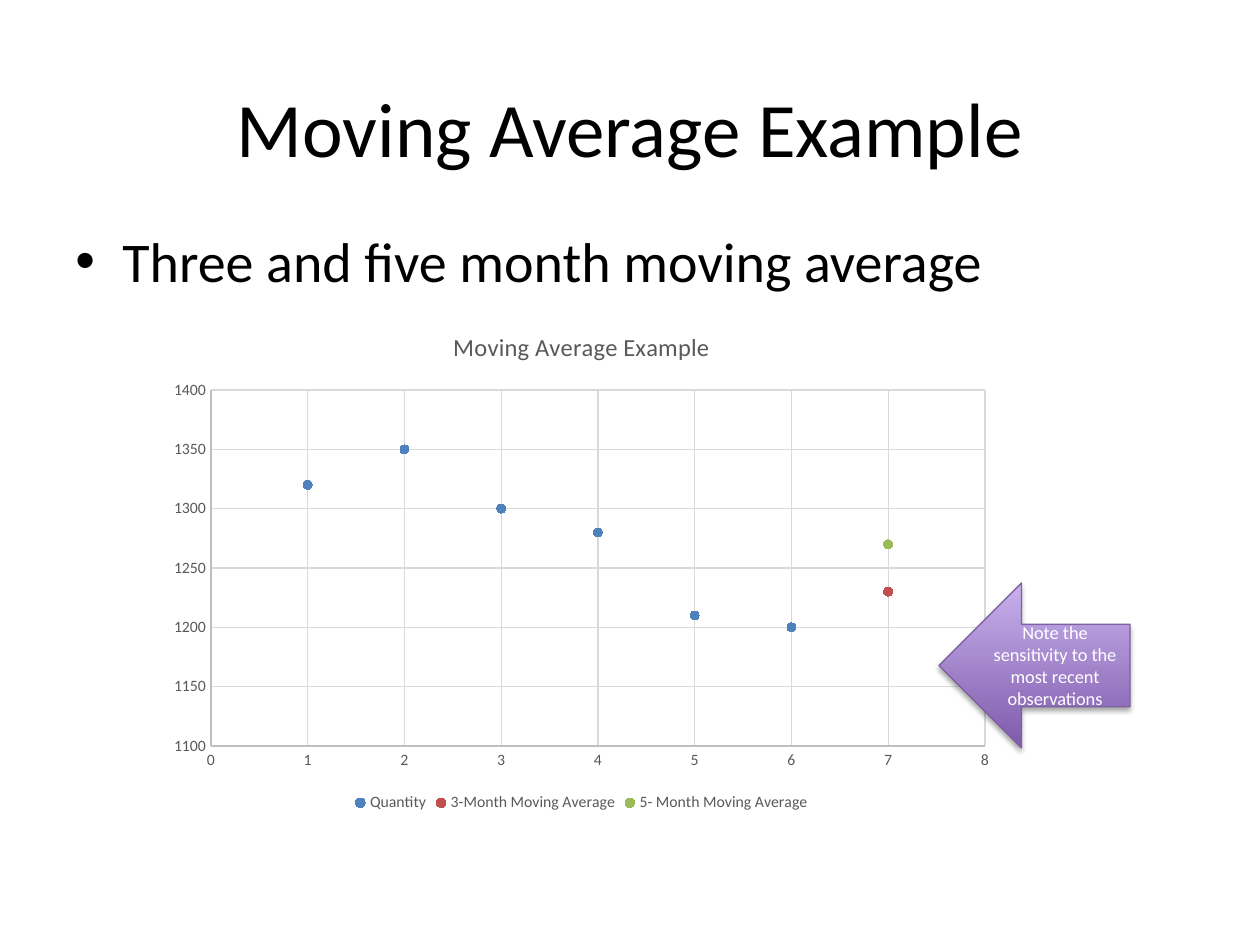
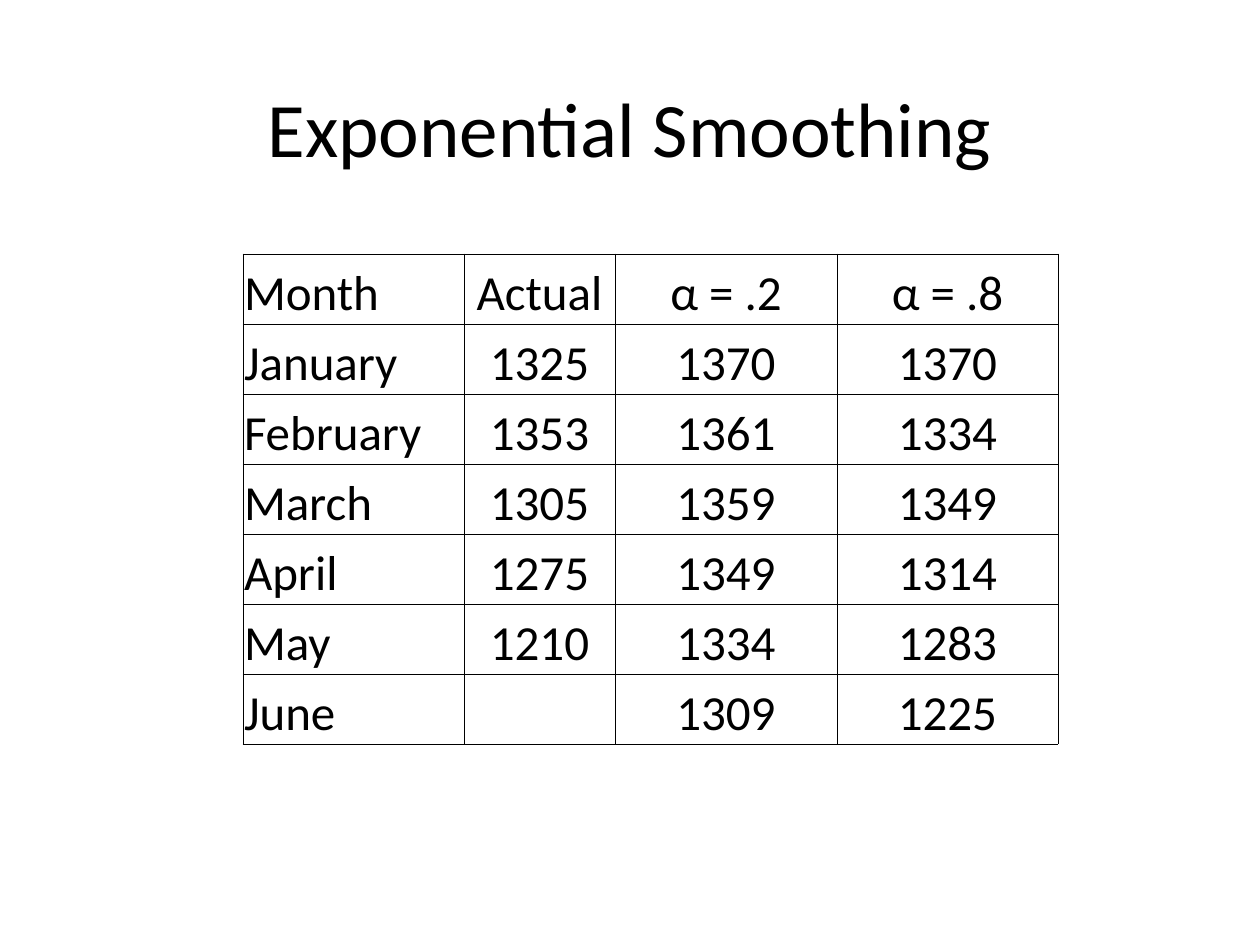
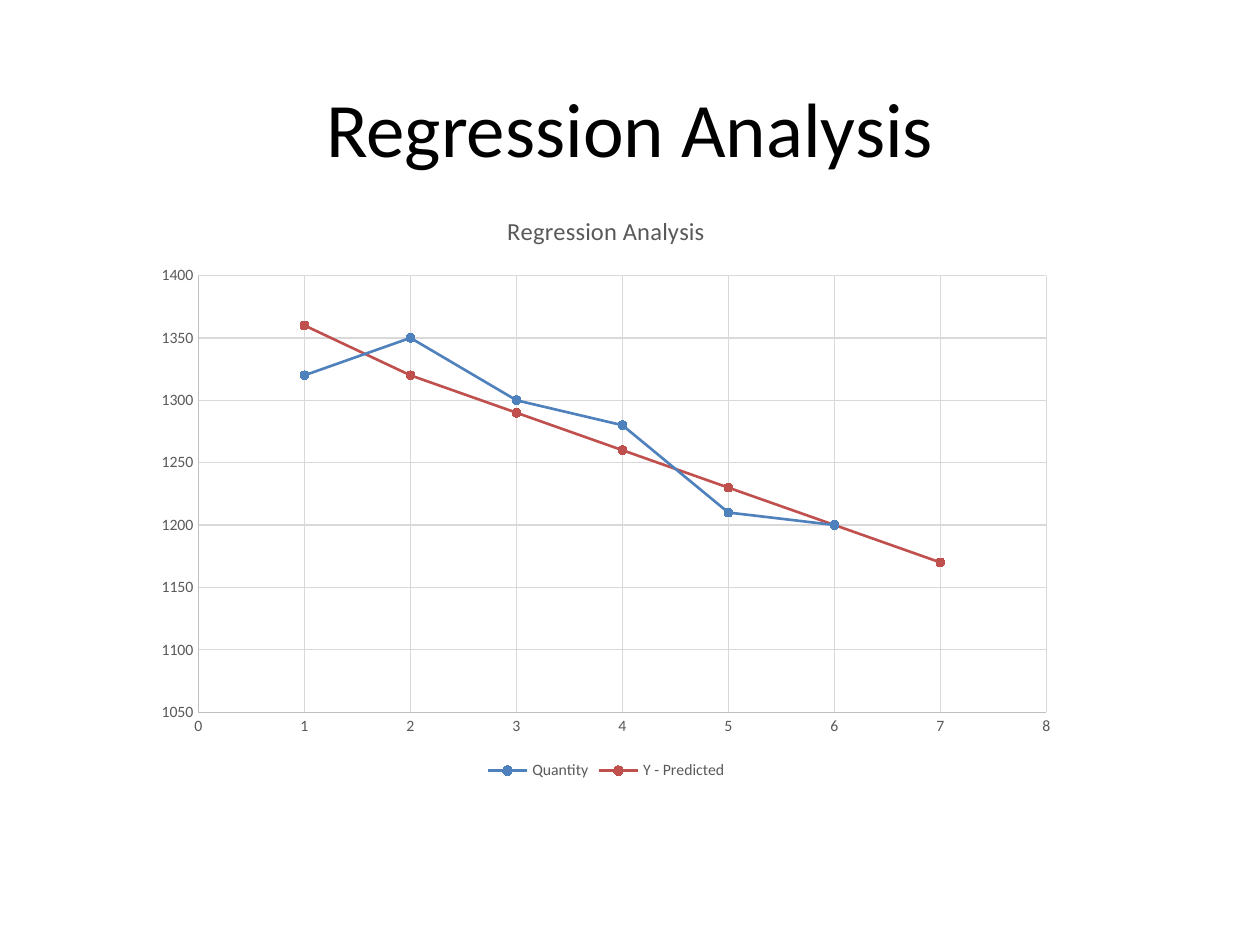
from lxml import etree
from pptx import Presentation
from pptx.chart.data import XyChartData
from pptx.dml.color import RGBColor
from pptx.enum.chart import XL_CHART_TYPE, XL_LEGEND_POSITION, XL_MARKER_STYLE, XL_TICK_MARK
from pptx.enum.shapes import MSO_SHAPE
from pptx.enum.text import MSO_ANCHOR, PP_ALIGN
from pptx.oxml.ns import qn
from pptx.util import Emu, Pt

LEFT, CENTER = PP_ALIGN.LEFT, PP_ALIGN.CENTER
TOP, MIDDLE, BOTTOM = MSO_ANCHOR.TOP, MSO_ANCHOR.MIDDLE, MSO_ANCHOR.BOTTOM
SCATTER = XL_CHART_TYPE.XY_SCATTER
SCATTER_LINES = XL_CHART_TYPE.XY_SCATTER_LINES
LEGEND_BOTTOM = XL_LEGEND_POSITION.BOTTOM
CIRCLE = XL_MARKER_STYLE.CIRCLE
NO_TICK = XL_TICK_MARK.NONE
LEFT_ARROW = MSO_SHAPE.LEFT_ARROW

FONT = "Calibri"
COLORS = {
    "text": "000000",
    "white": "FFFFFF",
    "chart_text": "595959",
    "axis": "BFBFBF",
    "grid": "D9D9D9",
    "blue": "4F81BD",
    "red": "C0504D",
    "green": "9BBB59",
    "arrow_dark": "7F5BAB",
    "arrow_light": "C8B0ED",
    "arrow_line": "7D60A0",
}
SERIES_COLORS = ("blue", "red", "green")

TITLE_BOX = (63, 48, 1134, 158)
BODY_BOX = (63, 220, 1134, 624)

MONTHS = ("January", "February", "March", "April", "May", "June")
ACTUALS = ("1325", "1353", "1305", "1275", "1210", "")
SMOOTH_LOW = ("1370", "1361", "1359", "1349", "1334", "1309")
SMOOTH_HIGH = ("1370", "1334", "1349", "1314", "1283", "1225")
QUANTITIES = (1320, 1350, 1300, 1280, 1210, 1200, None)
PREDICTED = (1360, 1320, 1290, 1260, 1230, 1200, 1170)
NO_HISTORY = (None,) * 6


def px(length):
    return Emu(round(length * 914400 / 126))


def place(box):
    return [px(length) for length in box]


def rgb(name):
    return RGBColor.from_string(COLORS[name])


def add_element(parent, tag, **attributes):
    return etree.SubElement(parent, qn(tag), attributes)


def style_font(font, size, color):
    font.name = FONT
    font.size = Pt(size)
    font.bold = False
    font.color.rgb = rgb(color)


def style_line(line, color, width):
    line.color.rgb = rgb(color)
    line.width = Pt(width)


def write(frame, text, size, color="text", align=LEFT, anchor=TOP):
    frame.word_wrap = True
    frame.vertical_anchor = anchor
    para = frame.paragraphs[0]
    para.alignment = align
    span = para.add_run()
    span.text = text
    style_font(span.font, size, color)
    return para


def add_page(deck, title):
    page = deck.slides.add_slide(deck.slide_layouts[6])
    frame = page.shapes.add_textbox(*place(TITLE_BOX)).text_frame
    write(frame, title, size=44, align=CENTER, anchor=MIDDLE)
    return page


def add_bullet(page, box, text):
    frame = page.shapes.add_textbox(*place(box)).text_frame
    para = write(frame, text, size=32)
    para.space_before = Pt(6.4)
    properties = para._p.get_or_add_pPr()
    indent = px(47)
    properties.set("marL", str(indent))
    properties.set("indent", str(-indent))
    add_element(properties, "a:buFont", typeface="Arial")
    add_element(properties, "a:buChar", char="•")


def style_axis(axis, low, high, step):
    axis.minimum_scale, axis.maximum_scale, axis.major_unit = low, high, step
    axis.major_tick_mark = axis.minor_tick_mark = NO_TICK
    axis.has_major_gridlines = True
    style_line(axis.major_gridlines.format.line, "grid", 0.75)
    style_line(axis.format.line, "axis", 0.75)
    style_font(axis.tick_labels.font, 9, "chart_text")


def drop_missing_points(chart):
    for point in list(chart._chartSpace.iter(qn("c:pt"))):
        if point.findtext(qn("c:v")) in ("None", ""):
            point.getparent().remove(point)


def add_scatter(page, box, kind, title, series_values, low):
    data = XyChartData()
    for name, values in series_values.items():
        series = data.add_series(name)
        for month, value in enumerate(values, 1):
            series.add_data_point(month, value)
    chart = page.shapes.add_chart(kind, *place(box), data).chart
    drop_missing_points(chart)
    style_font(chart.font, 10, "text")
    chart.has_title = True
    write(chart.chart_title.text_frame, title, size=14, color="chart_text", align=CENTER)
    chart.chart_title.include_in_layout = False
    chart.has_legend = True
    chart.legend.position = LEGEND_BOTTOM
    chart.legend.include_in_layout = False
    style_font(chart.legend.font, 9, "chart_text")
    style_axis(chart.category_axis, 0, 8, 1)
    style_axis(chart.value_axis, low, 1400, 50)
    chart.plots[0].vary_by_categories = False
    for series, color in zip(chart.plots[0].series, SERIES_COLORS):
        series.smooth = False
        series.marker.style = CIRCLE
        series.marker.size = 5
        series.marker.format.fill.solid()
        series.marker.format.fill.fore_color.rgb = rgb(color)
        style_line(series.marker.format.line, color, 0.75)
        if kind == SCATTER:
            series.format.line.fill.background()
        else:
            style_line(series.format.line, color, 1.5)


def add_note_arrow(page, box, text):
    arrow = page.shapes.add_shape(LEFT_ARROW, *place(box))
    arrow.fill.gradient()
    arrow.fill.gradient_angle = 90
    for stop, color in zip(arrow.fill.gradient_stops, ("arrow_dark", "arrow_light")):
        stop.color.rgb = rgb(color)
    style_line(arrow.line, "arrow_line", 0.75)
    arrow.shadow.inherit = False
    effects = arrow._element.spPr.find(qn("a:effectLst"))
    shadow = add_element(effects, "a:outerShdw", blurRad=str(Pt(3.1)), dist=str(Pt(1.8)),
                         dir="5400000", rotWithShape="0")
    shade = add_element(shadow, "a:srgbClr", val=COLORS["text"])
    add_element(shade, "a:alpha", val="35000")
    write(arrow.text_frame, text, size=10.5, color="white", align=CENTER, anchor=MIDDLE)


def add_borders(cell):
    properties = cell._tc.get_or_add_tcPr()
    for side in ("a:lnL", "a:lnR", "a:lnT", "a:lnB"):
        border = add_element(properties, side, w=str(Pt(0.5)))
        fill = add_element(border, "a:solidFill")
        add_element(fill, "a:srgbClr", val=COLORS["text"])


def add_grid(page, left, top, widths, row_height, rows):
    box = (left, top, sum(widths), row_height * len(rows))
    table = page.shapes.add_table(len(rows), len(widths), *place(box)).table
    table.first_row = table.horz_banding = False
    for column, width in zip(table.columns, widths):
        column.width = px(width)
    for row, texts in zip(table.rows, rows):
        row.height = px(row_height)
        for index, (cell, text) in enumerate(zip(row.cells, texts)):
            cell.margin_left = cell.margin_right = cell.margin_top = px(1)
            cell.margin_bottom = 0
            cell.vertical_anchor = BOTTOM
            add_borders(cell)
            cell.fill.background()
            if text:
                write(cell.text_frame, text, size=28, anchor=BOTTOM,
                      align=CENTER if index else LEFT)


def build_moving_average(deck):
    title = "Moving Average Example"
    page = add_page(deck, title)
    add_bullet(page, BODY_BOX, "Three and five month moving average")
    add_scatter(page, (157, 309, 849, 508), SCATTER, title, {
        "Quantity": QUANTITIES,
        "3-Month Moving Average": (*NO_HISTORY, 1230),
        "5- Month Moving Average": (*NO_HISTORY, 1270),
    }, low=1100)
    add_note_arrow(page, (939, 583, 191, 165),
                   "Note the sensitivity to the most recent observations")


def build_smoothing(deck):
    page = add_page(deck, "Exponential Smoothing")
    rows = [("Month", "Actual", "α = .2", "α = .8"),
            *zip(MONTHS, ACTUALS, SMOOTH_LOW, SMOOTH_HIGH)]
    add_grid(page, 243, 254, (221, 151, 222, 221), 70, rows)


def build_regression(deck):
    title = "Regression Analysis"
    page = add_page(deck, title)
    add_scatter(page, (143, 191, 926, 594), SCATTER_LINES, title, {
        "Quantity": QUANTITIES,
        "Y - Predicted": PREDICTED,
    }, low=1050)


def main():
    deck = Presentation()
    deck.slide_width, deck.slide_height = px(1260), px(945)
    build_moving_average(deck)
    build_smoothing(deck)
    build_regression(deck)
    deck.save("out.pptx")


if __name__ == "__main__":
    main()
